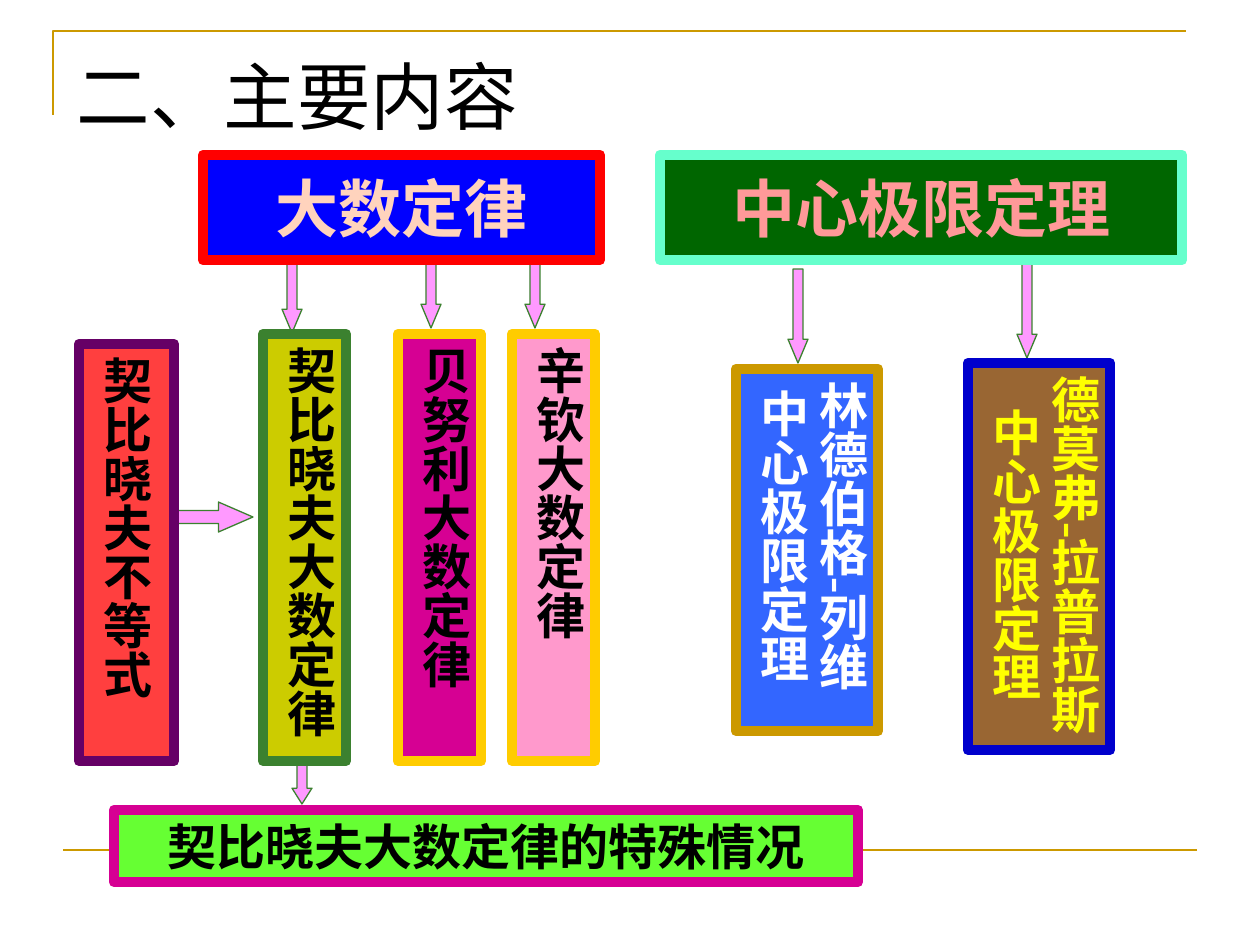
from lxml.etree import SubElement
from pptx import Presentation
from pptx.dml.color import RGBColor
from pptx.enum.shapes import MSO_CONNECTOR, MSO_SHAPE
from pptx.enum.text import MSO_ANCHOR, MSO_AUTO_SIZE, PP_ALIGN
from pptx.oxml.ns import qn
from pptx.util import Emu, Pt

SCALE = 914400 / 126
FONT = "Times New Roman"
COLORS = {
    "black": "000000", "white": "FFFFFF", "yellow": "FFFF00",
    "gold": "CC9900", "amber": "FFCC00", "olive": "CCCC00",
    "blue": "0000FF", "navy": "0000CC", "sky": "3366FF",
    "red": "FF0000", "coral": "FF3F3F", "peach": "FFD3BD",
    "salmon": "FF9999", "pink": "FF99CC", "orchid": "FF99FF",
    "magenta": "D60093", "purple": "660066", "brown": "996633",
    "forest": "006600", "leaf": "3B812F", "lime": "66FF33", "mint": "66FFCC",
}


def px(*lengths):
    return [Emu(round(length * SCALE)) for length in lengths]


def paint(shape, fill, line, width):
    shape.shadow.inherit = False
    shape.fill.solid()
    shape.fill.fore_color.rgb = RGBColor.from_string(COLORS[fill])
    shape.line.color.rgb = RGBColor.from_string(COLORS[line])
    shape.line.width = Pt(width)


presentation = Presentation()
presentation.slide_width, presentation.slide_height = px(1260, 945)
slide = presentation.slides.add_slide(presentation.slide_layouts[5])
shapes = slide.shapes

title = shapes.title
title.left, title.top, title.width, title.height = px(64, 45, 1071, 101)
title.text_frame.text = "二、主要内容"
title.text_frame.auto_size = MSO_AUTO_SIZE.NONE
title.text_frame.vertical_anchor = MSO_ANCHOR.TOP
paragraph = title.text_frame.paragraphs[0]
paragraph.alignment = PP_ALIGN.LEFT
paragraph.font.name = FONT
paragraph.font.size = Pt(42)
paragraph.font.color.rgb = RGBColor.from_string(COLORS["black"])

builder = shapes.build_freeform(53, 115, scale=SCALE)
builder.add_line_segments([(53, 31), (1186, 31)], close=False)
corner = builder.convert_to_shape()
corner.shadow.inherit = False
corner.fill.background()

rule = shapes.add_connector(MSO_CONNECTOR.STRAIGHT, *px(63, 850, 1197, 850))
SubElement(rule._element.spPr, qn("a:effectLst"))
for border in (corner, rule):
    border.line.color.rgb = RGBColor.from_string(COLORS["gold"])
    border.line.width = Pt(1.5)

down, right = MSO_SHAPE.DOWN_ARROW, MSO_SHAPE.RIGHT_ARROW
arrows = [
    (down, 292, 741, 20, 63, 0.5, 0.79),
    (down, 525, 234, 20, 94, 0.5, 1.19),
    (down, 421, 234, 20, 94, 0.5, 1.19),
    (down, 282, 239, 20, 94, 0.5, 1.19),
    (down, 788, 269, 20, 94, 0.5, 1.19),
    (down, 1017, 264, 20, 94, 0.5, 1.19),
    (right, 153, 502, 100, 30, 0.43, 1.15),
]
for kind, left, top, width, height, shaft, head in arrows:
    arrow = shapes.add_shape(kind, *px(left, top, width, height))
    arrow.adjustments[0] = shaft
    arrow.adjustments[1] = head
    paint(arrow, "orchid", "leaf", 0.75)

top, middle = MSO_ANCHOR.TOP, MSO_ANCHOR.MIDDLE
boxes = [
    ("大数定律", 203, 155, 397, 105, "blue", "red", "peach", 36, middle),
    ("中心极限定理", 660, 155, 522, 105, "forest", "mint", "salmon", 36, middle),
    ("契比晓夫不等式", 79, 344, 95, 417, "coral", "purple", "black", 28, middle),
    ("契比晓夫大数定律", 263, 334, 83, 427, "olive", "leaf", "black", 28, top),
    ("贝努利大数定律", 398, 334, 83, 427, "magenta", "amber", "black", 28, top),
    ("辛钦大数定律", 512, 334, 83, 427, "pink", "amber", "black", 28, top),
    ("林德伯格-列维中心极限定理", 736, 369, 142, 362, "sky", "gold", "white", 28, top),
    ("德莫弗-拉普拉斯中心极限定理", 968, 363, 142, 387, "brown", "navy", "yellow", 28, top),
    ("契比晓夫大数定律的特殊情况", 114, 810, 744, 72, "lime", "magenta", "black", 28, top),
]
for text, left, y, width, height, fill, line, color, size, anchor in boxes:
    box = shapes.add_shape(MSO_SHAPE.RECTANGLE, *px(left, y, width, height))
    paint(box, fill, line, 6)
    frame = box.text_frame
    frame.text = text
    frame.word_wrap = True
    frame.vertical_anchor = anchor
    if height > width:
        frame._txBody.bodyPr.set("vert", "eaVert")
        frame.margin_left = frame.margin_right = Pt(3.6)
        frame.margin_top = frame.margin_bottom = Pt(7.2)
    paragraph = frame.paragraphs[0]
    paragraph.alignment = PP_ALIGN.CENTER
    paragraph.font.name = FONT
    paragraph.font.size = Pt(size)
    paragraph.font.bold = True
    paragraph.font.color.rgb = RGBColor.from_string(COLORS[color])

presentation.save("out.pptx")
